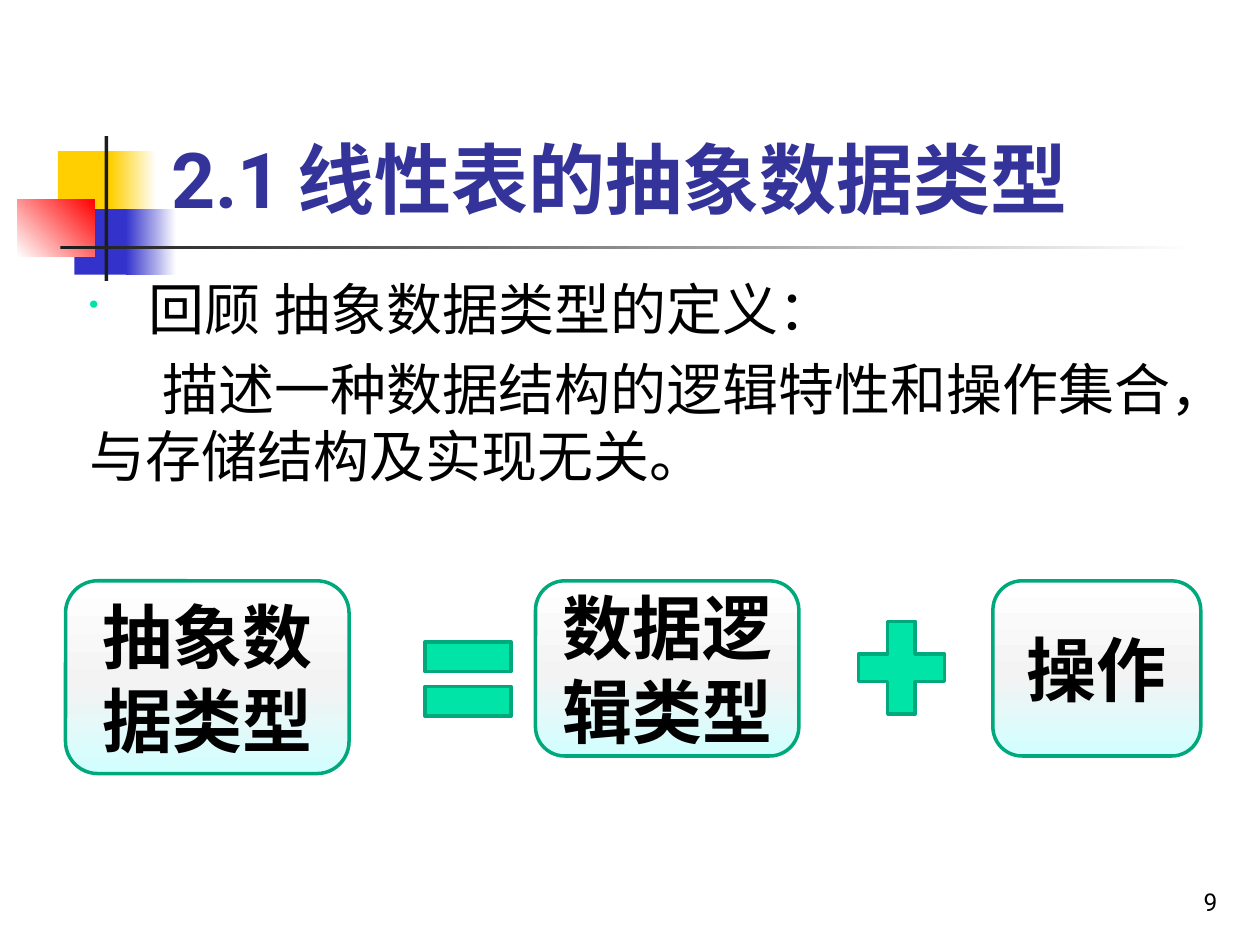
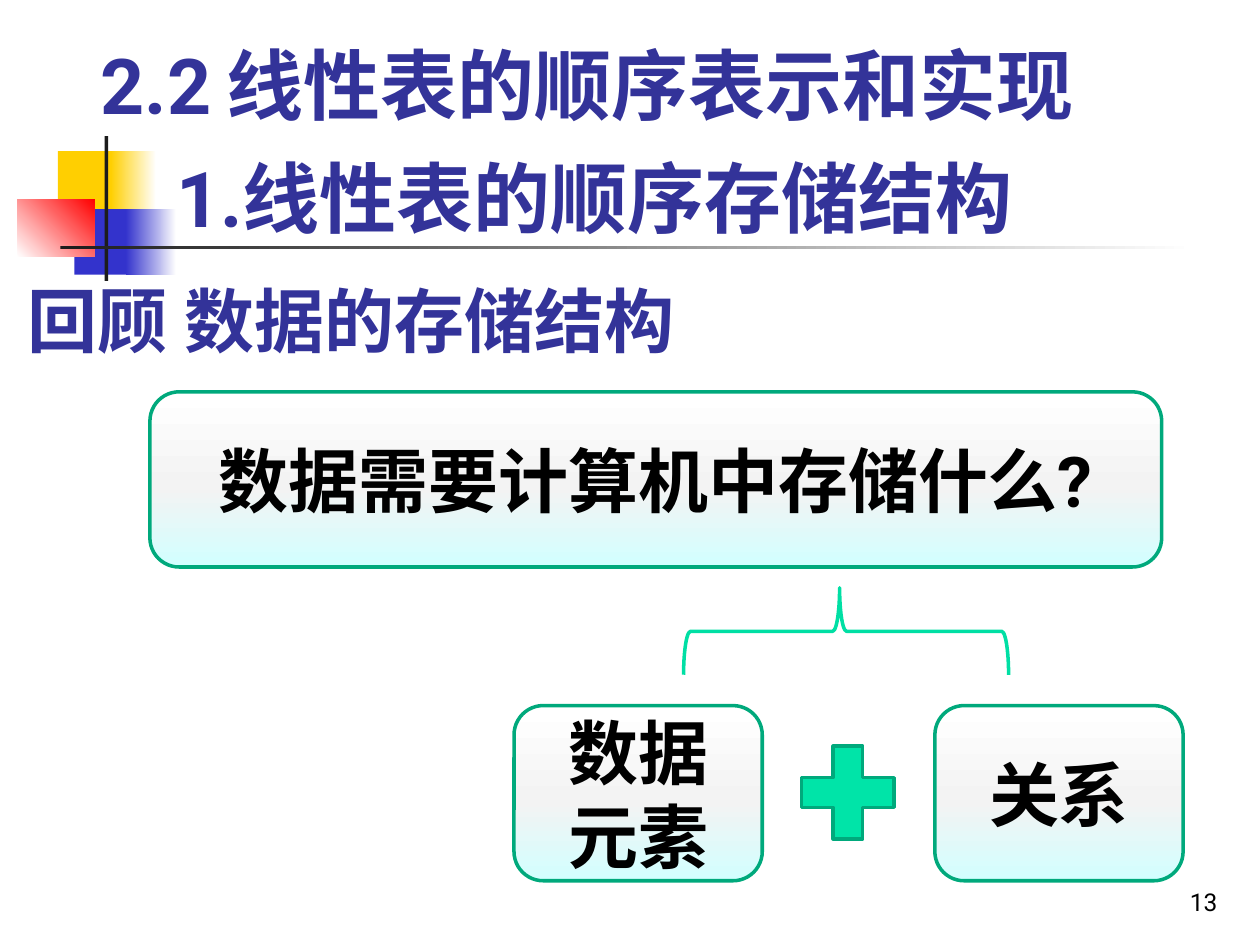
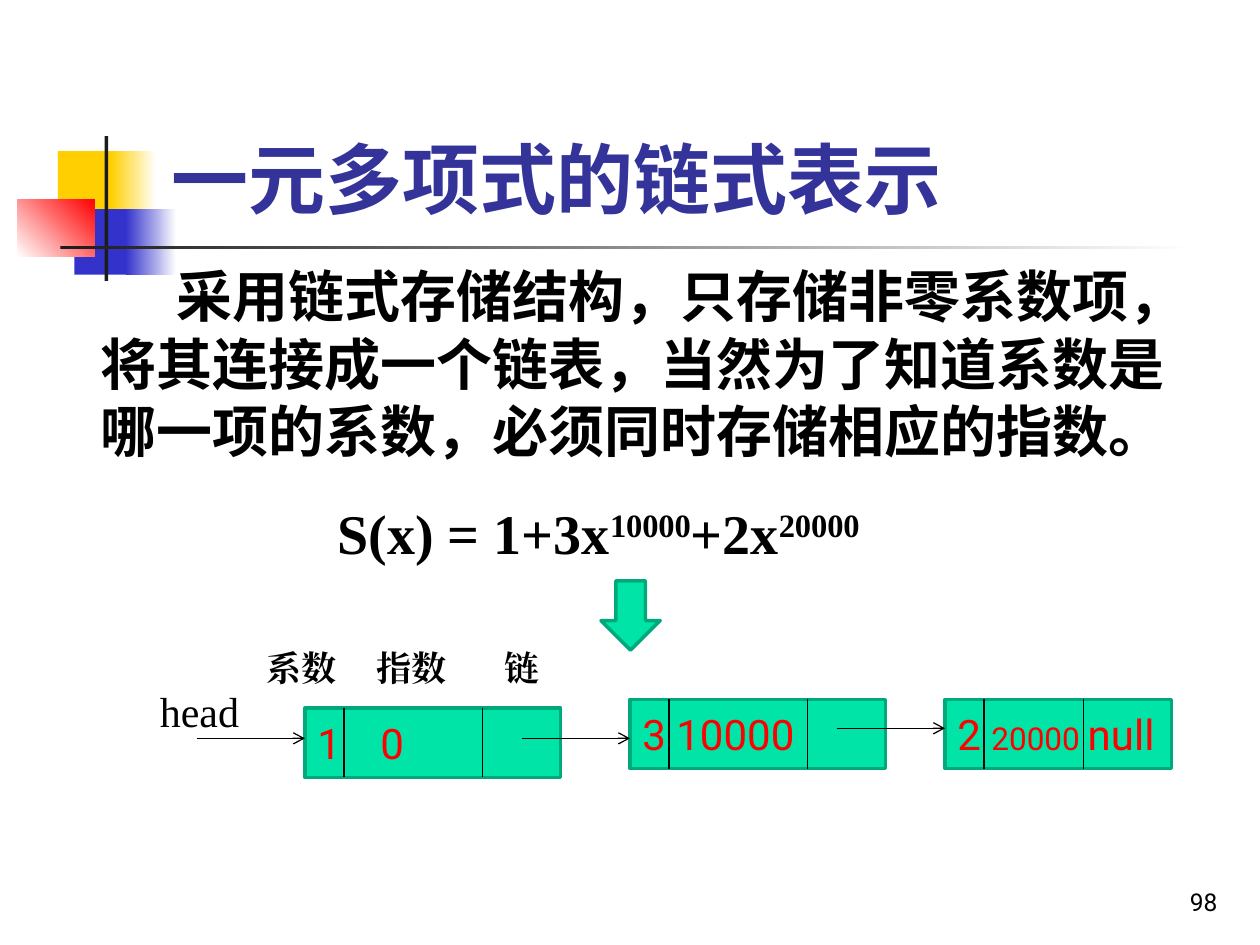
from dataclasses import dataclass
from typing import NamedTuple

from lxml import etree
from pptx import Presentation
from pptx.dml.color import RGBColor
from pptx.enum.shapes import MSO_CONNECTOR, MSO_SHAPE
from pptx.enum.text import MSO_ANCHOR, PP_ALIGN
from pptx.oxml.ns import qn
from pptx.util import Pt

PX = 9144
RECT = MSO_SHAPE.RECTANGLE
ROUNDED = MSO_SHAPE.ROUNDED_RECTANGLE
PLUS = MSO_SHAPE.MATH_PLUS
EQUAL = MSO_SHAPE.MATH_EQUAL
DOWN_ARROW = MSO_SHAPE.DOWN_ARROW
BRACE = MSO_SHAPE.RIGHT_BRACE
STRAIGHT = MSO_CONNECTOR.STRAIGHT
TOP, MIDDLE, BOTTOM = MSO_ANCHOR.TOP, MSO_ANCHOR.MIDDLE, MSO_ANCHOR.BOTTOM
LEFT, CENTER, RIGHT = PP_ALIGN.LEFT, PP_ALIGN.CENTER, PP_ALIGN.RIGHT


@dataclass(frozen=True)
class Theme:
    sans: str = "Roboto"
    serif: str = "Times New Roman"
    ink: str = "000000"
    paper: str = "FFFFFF"
    heading: str = "333399"
    yellow: str = "FFCF01"
    blue: str = "3333CC"
    red: str = "FF0000"
    rule: str = "1C1C1C"
    accent: str = "00E4A8"
    outline: str = "00A97C"
    brace: str = "00DFA4"
    panel: tuple = ((0, "FFFFFF"), (55, "F3F3F3"), (100, "D2FFFF"))
    title_size: int = 44
    panel_size: int = 40
    body_size: int = 32
    node_size: int = 24
    small_node_size: int = 18
    label_size: int = 20
    page_size: int = 14
    outline_width: int = 2
    link_width: float = 0.75


THEME = Theme()


class Box(NamedTuple):
    left: int
    top: int
    width: int
    height: int

    def inside(self, dx, dy, width, height):
        return Box(self.left + dx, self.top + dy, width, height)

    def emu(self):
        return [length * PX for length in self]


def style(size, color=THEME.ink, bold=False, name=THEME.sans):
    return {"size": size, "color": color, "bold": bold, "name": name}


HEADING = style(THEME.title_size, THEME.heading, True)
REVIEW = style(THEME.panel_size, THEME.heading, True)
PANEL = style(THEME.panel_size, bold=True)
BODY = style(THEME.body_size)
STRONG_BODY = style(THEME.body_size, bold=True)
FORMULA = style(THEME.body_size, bold=True, name=THEME.serif)
NODE = style(THEME.node_size, THEME.red)
HEAD = style(THEME.node_size, name=THEME.serif)
LABEL = style(THEME.label_size, bold=True, name=THEME.serif)
PAGE = style(THEME.page_size)

TITLE_BOX = Box(126, 91, 852, 92)
TITLE_TAB = 149


def apply(target, values):
    for name, value in values.items():
        setattr(target, name, value)


def add_run(paragraph, text, look, baseline=0):
    run = paragraph.add_run()
    run.text = text
    apply(run.font, {"size": Pt(look["size"]), "bold": look["bold"], "name": look["name"]})
    run.font.color.rgb = RGBColor.from_string(look["color"])
    properties = run.font._element
    etree.SubElement(properties, qn("a:ea"), typeface=look["name"])
    if baseline:
        properties.set("baseline", str(baseline * 1000))


def set_indent(paragraph, margin=0, first=0, bullet=None, tab=None):
    properties = paragraph._p.get_or_add_pPr()
    properties.set("marL", str(margin * PX))
    properties.set("indent", str(first * PX))
    if bullet:
        color = etree.SubElement(properties, qn("a:buClr"))
        etree.SubElement(color, qn("a:srgbClr"), val=THEME.accent)
        etree.SubElement(properties, qn("a:buSzPct"), val="50000")
        etree.SubElement(properties, qn("a:buChar"), char=bullet)
    if tab:
        tabs = etree.SubElement(properties, qn("a:tabLst"))
        etree.SubElement(tabs, qn("a:tab"), pos=str(tab * PX), algn="l")


def write(shape, paragraphs, look, anchor=TOP, align=LEFT, layout=None):
    frame = shape.text_frame
    apply(frame, {"word_wrap": True, "vertical_anchor": anchor})
    for index, (runs, indent) in enumerate(paragraphs):
        paragraph = frame.add_paragraph() if index else frame.paragraphs[0]
        set_indent(paragraph, **indent)
        apply(paragraph, {"alignment": align, **(layout or {})})
        if index:
            paragraph.space_before = Pt(7)
        for text, *changes in runs:
            add_run(paragraph, text, look, *changes)


def add_text(slide, box, text, look, anchor=TOP, align=LEFT, layout=None, **indent):
    caption = slide.shapes.add_textbox(*box.emu())
    write(caption, [([(text,)], indent)], look, anchor, align, layout)


def paint(shape, fill, angle=0):
    if isinstance(fill, str):
        shape.fill.solid()
        shape.fill.fore_color.rgb = RGBColor.from_string(fill)
        return
    shape.fill.gradient()
    shape.fill.gradient_angle = -angle % 360
    stops = shape._element.spPr.find(qn("a:gradFill")).find(qn("a:gsLst"))
    for stop in list(stops):
        stops.remove(stop)
    for position, color in fill:
        stop = etree.SubElement(stops, qn("a:gs"), pos=str(position * 1000))
        etree.SubElement(stop, qn("a:srgbClr"), val=color)


def draw_line(line, color, width):
    line.color.rgb = RGBColor.from_string(color)
    line.width = Pt(width)


def add_shape(slide, kind, box, fill=THEME.accent, angle=0, outline=THEME.outline):
    shape = slide.shapes.add_shape(kind, *box.emu())
    shape.shadow.inherit = False
    if fill:
        paint(shape, fill, angle)
    else:
        shape.fill.background()
    if outline:
        draw_line(shape.line, outline, THEME.outline_width)
    else:
        shape.line.fill.background()
    return shape


def add_link(slide, start, end, arrow=False):
    link = slide.shapes.add_connector(
        STRAIGHT, *[length * PX for length in (*start, *end)])
    draw_line(link.line, THEME.ink, THEME.link_width)
    properties = link._element.spPr
    if arrow:
        etree.SubElement(properties.find(qn("a:ln")), qn("a:tailEnd"), type="arrow")
    etree.SubElement(properties, qn("a:effectLst"))


def add_panel(slide, box, text):
    panel = add_shape(slide, ROUNDED, box, THEME.panel, 90)
    write(panel, [([(text,)], {})], PANEL, MIDDLE, CENTER)


def add_emblem(slide, box):
    def fade(start, end=THEME.paper):
        return ((0, start), (100, end))

    pieces = (
        ((32, 12, 48, 52), THEME.yellow, 0),
        ((74, 12, 36, 52), fade(THEME.yellow), 0),
        ((45, 58, 46, 52), THEME.blue, 0),
        ((86, 58, 40, 52), fade(THEME.blue), 0),
        ((0, 50, 61, 46), fade(THEME.paper, THEME.red), 315),
        ((69, 0, 3, 115), THEME.rule, 0),
        ((34, 87, 900, 3), fade(THEME.rule), 0),
    )
    for place, fill, angle in pieces:
        add_shape(slide, RECT, box.inside(*place), fill, angle, None)


def new_slide(deck, title, page, title_box=TITLE_BOX):
    slide = deck.slides.add_slide(deck.slide_layouts[6])
    add_emblem(slide, Box(14, 108, 934, 115))
    add_text(slide, title_box, title, HEADING, BOTTOM, tab=TITLE_TAB)
    add_text(slide, Box(768, 682, 208, 50), page, PAGE, BOTTOM, RIGHT)
    return slide


def add_definition(slide, box):
    definition = slide.shapes.add_textbox(*box.emu())
    write(definition, [
        ([("回顾 抽象数据类型的定义：",)], {"margin": 47, "first": -47, "bullet": "•"}),
        ([("描述一种数据结构的逻辑特性和操作集合，与存储结构及实现无关。",)], {"first": 58}),
    ], BODY)


def add_type_equation(slide, box):
    for text, place in (
        ("抽象数据类型", (0, 0, 225, 153)),
        ("数据逻辑类型", (373, 0, 209, 139)),
        ("操作", (736, 0, 165, 139)),
    ):
        add_panel(slide, box.inside(*place), text)
    for sign, dx, dy in ((EQUAL, 273, 28), (PLUS, 617, 19)):
        add_shape(slide, sign, box.inside(dx, dy, 93, 100))


def add_storage_question(slide, box):
    add_panel(slide, box.inside(0, 0, 803, 139), "数据需要计算机中存储什么?")
    brace = add_shape(slide, BRACE, box.inside(518, 61, 69, 258), None, 0, THEME.brace)
    brace.rotation = 270
    for index, value in enumerate((0.08, 0.48)):
        brace.adjustments[index] = value
    for text, dx in (("数据元素", 289), ("关系", 623)):
        add_panel(slide, box.inside(dx, 249, 197, 139), text)
    add_shape(slide, PLUS, box.inside(504, 268, 100, 100))


def add_polynomial(slide, box):
    formula = slide.shapes.add_textbox(*box.emu())
    runs = [("S(x) = 1+3x",), ("10000", 30), ("+2x",), ("20000", 30)]
    write(formula, [(runs, {})], FORMULA)
    add_shape(slide, DOWN_ARROW, box.inside(219, 70, 47, 55))


def add_node(slide, box, parts, dividers, link_dy, tab=None):
    node = add_shape(slide, RECT, box)
    write(node, [([], {"tab": tab})], NODE, MIDDLE)
    for text, size in parts:
        add_run(node.text_frame.paragraphs[0], text, {**NODE, "size": size})
    for dx in dividers:
        x = box.left + dx
        add_link(slide, (x, box.top), (x, box.top + box.height))
    return (box.left - 86, box.top + link_dy), (box.left, box.top + link_dy)


def add_linked_list(slide, box):
    large, small = THEME.node_size, THEME.small_node_size
    nodes = (
        ((125, 54, 203, 55), [("1\t0", large)], (31, 141), 24, 60),
        ((383, 47, 203, 55), [("3 10000", large)], (31, 141), 31, None),
        ((633, 47, 180, 55), [("2 ", large), ("20000 ", small), ("null", large)],
         (31, 110), 23, None),
    )
    links = [add_node(slide, box.inside(*place), *details) for place, *details in nodes]
    for start, end in links:
        add_link(slide, start, end, True)
    add_text(slide, box.inside(0, 31, 86, 51), "head", HEAD)
    for text, dx, width in (("系数", 85, 78), ("指数", 172, 94), ("链", 274, 47)):
        add_text(slide, box.inside(dx, 0, width, 44), text, LABEL)


def build_abstract_type(deck):
    slide = new_slide(deck, "2.1\t线性表的抽象数据类型", "9")
    add_definition(slide, Box(61, 213, 959, 495))
    add_type_equation(slide, Box(52, 461, 901, 153))


def build_sequential_storage(deck):
    slide = new_slide(deck, "2.2\t线性表的顺序表示和实现", "13", Box(70, 16, 852, 92))
    add_text(slide, Box(130, 123, 793, 84), "1.线性表的顺序存储结构", HEADING,
             layout={"line_spacing": 0.9})
    add_text(slide, Box(12, 200, 681, 92), "回顾 数据的存储结构", REVIEW, BOTTOM)
    add_storage_question(slide, Box(119, 311, 820, 388))


def build_linked_polynomial(deck):
    slide = new_slide(deck, "一元多项式的链式表示", "98")
    add_text(slide, Box(70, 203, 906, 460),
             "采用链式存储结构，只存储非零系数项，将其连接成一个链表，"
             "当然为了知道系数是哪一项的系数，必须同时存储相应的指数。",
             STRONG_BODY, first=60)
    add_polynomial(slide, Box(258, 391, 457, 64))
    add_linked_list(slide, Box(117, 508, 813, 109))


def main():
    deck = Presentation()
    apply(deck, {"slide_width": 1000 * PX, "slide_height": 750 * PX})
    for build in (build_abstract_type, build_sequential_storage, build_linked_polynomial):
        build(deck)
    deck.save("out.pptx")


if __name__ == "__main__":
    main()
